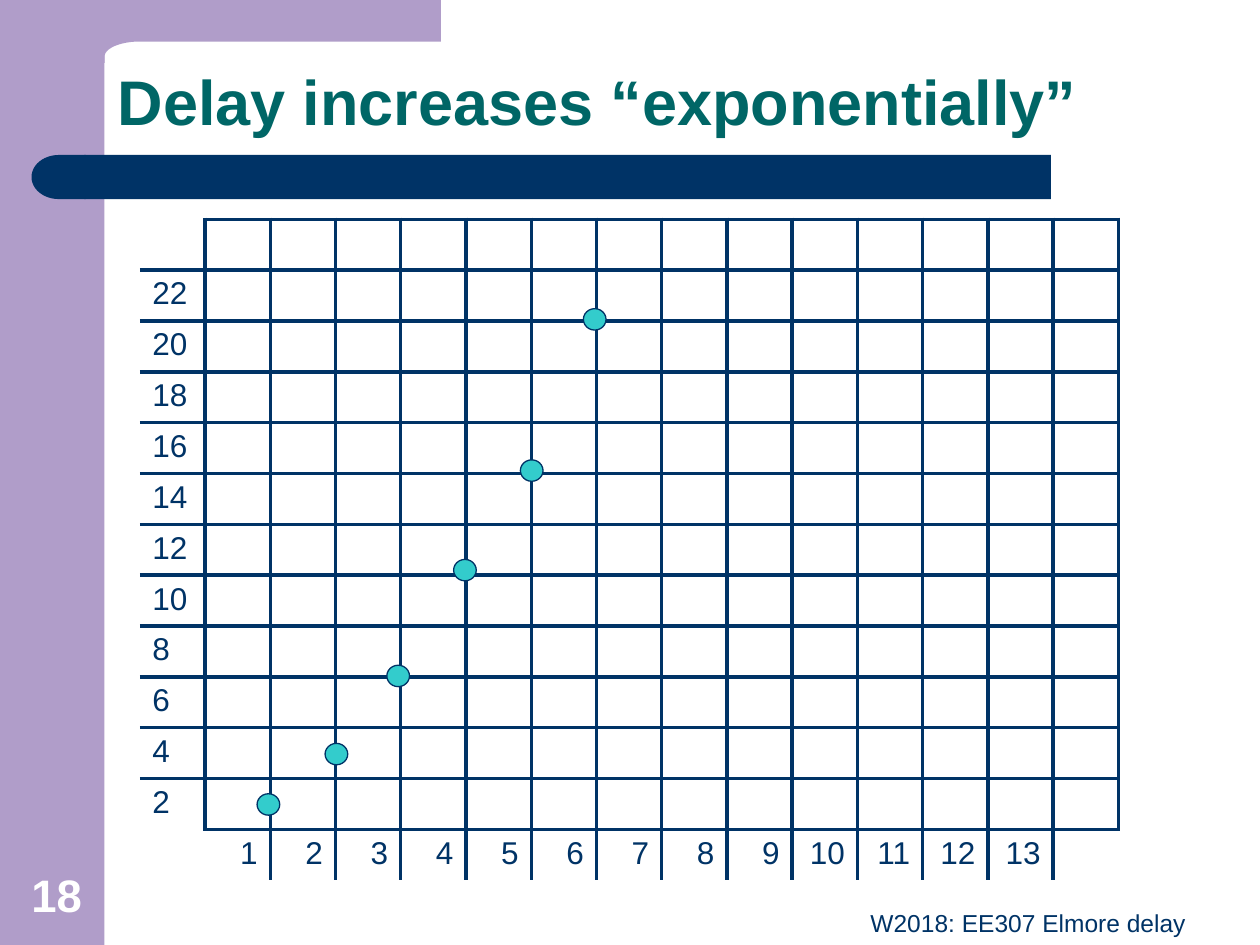
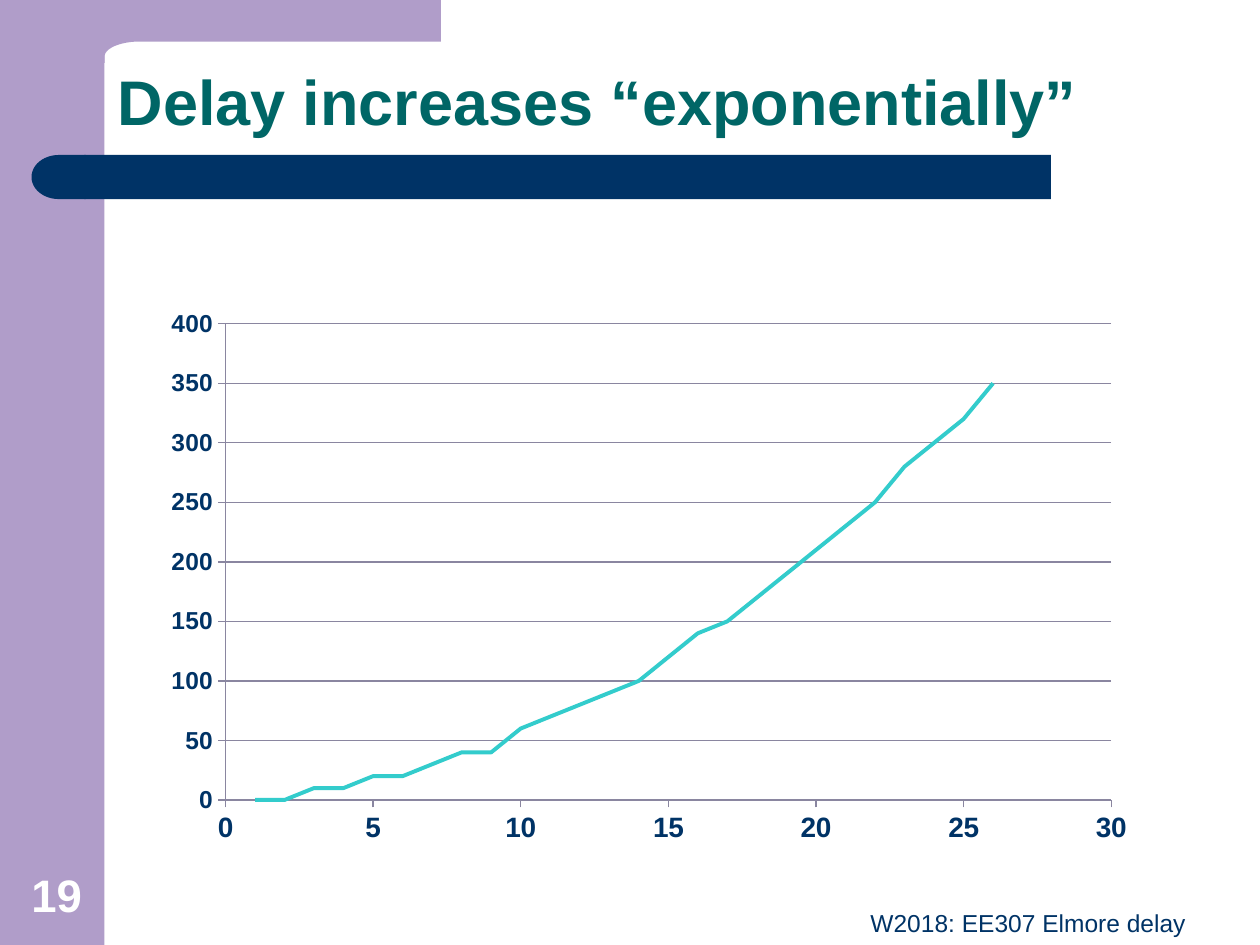
from math import cos, pi, sin

from lxml.etree import SubElement
from pptx import Presentation
from pptx.chart.data import XyChartData
from pptx.dml.color import RGBColor
from pptx.enum.chart import XL_CHART_TYPE, XL_TICK_MARK
from pptx.enum.shapes import MSO_SHAPE
from pptx.enum.text import MSO_ANCHOR, PP_ALIGN
from pptx.oxml import parse_xml
from pptx.oxml.ns import nsdecls, qn
from pptx.util import Inches, Pt

COLORS = {
    "lilac": "B09DC9",
    "navy": "003366",
    "green": "006666",
    "teal": "33CCCC",
    "grey": "8A86A0",
    "white": "FFFFFF",
}
FONT = "Arial"
TITLE = "Delay increases “exponentially”"
FOOTER = "W2018: EE307 Elmore delay"
ROWS, COLS = 13, 15
DOTS = [(2.04, 6.3), (2.58, 5.9), (3.07, 5.28),
        (3.6, 4.44), (4.13, 3.65), (4.63, 2.45)]


def rgb(name):
    return RGBColor.from_string(COLORS[name])


def has_row_line(i, col):
    """Tell whether horizontal grid line i runs along this column."""
    return i < ROWS and (i not in (0, ROWS - 1) or col > 0)


def has_col_line(j, row):
    """Tell whether vertical grid line j runs along this row."""
    return j > 0 and (j not in (1, COLS) or row < ROWS - 1)


class Deck:
    def __init__(self):
        self.prs = Presentation()
        self.prs.slide_width = Inches(10)
        self.prs.slide_height = Inches(7.5)
        self.slide = None

    def start(self, number):
        """Add a slide with the shared bands, title, footer and number."""
        self.slide = self.prs.slides.add_slide(self.prs.slide_layouts[6])
        self.shape(MSO_SHAPE.RECTANGLE, 0, 0, 0.83, 7.5, "lilac")
        self.corner()
        self.shape(MSO_SHAPE.RECTANGLE, 0.67, 1.23, 7.67, 0.35, "navy")
        cap = self.shape(MSO_SHAPE.FLOWCHART_DELAY, 0.25, 1.23, 0.43, 0.35, "navy")
        cap.rotation = 180
        self.title()
        self.text(FOOTER, 3.42, 7.16, 6.09, 0.33, 14, "navy", align=PP_ALIGN.RIGHT)
        self.text(str(number), 0, 6.83, 0.9, 0.53, 26, "white", bold=True,
                  align=PP_ALIGN.CENTER, anchor=MSO_ANCHOR.BOTTOM)

    def title(self):
        box = self.shape(MSO_SHAPE.ROUNDED_RECTANGLE, 0.83, 0.33, 8.67, 0.83)
        box.adjustments[0] = 0.22
        frame = box.text_frame
        frame.margin_left = Inches(0.05)
        frame.margin_bottom = 0
        self.fill(frame, TITLE, 36, "green", True, PP_ALIGN.LEFT, MSO_ANCHOR.BOTTOM)
        frame.paragraphs[0].line_spacing = 0.9

    def paint(self, shape, fill=None, line=None):
        shape.shadow.inherit = False
        if fill:
            shape.fill.solid()
            shape.fill.fore_color.rgb = rgb(fill)
        else:
            shape.fill.background()
        if line:
            shape.line.color.rgb = rgb(line)
            shape.line.width = Pt(0.75)
        else:
            shape.line.fill.background()
        return shape

    def shape(self, kind, x, y, w, h, fill=None, line=None):
        shape = self.slide.shapes.add_shape(
            kind, Inches(x), Inches(y), Inches(w), Inches(h))
        return self.paint(shape, fill, line)

    def corner(self):
        """Draw the top band with its rounded inner corner."""
        steps = 12
        turns = [pi / 2 * k / steps for k in range(steps + 1)]
        curve = [(1.11 - 0.28 * sin(t), 0.45 - 0.12 * cos(t)) for t in turns]
        points = [(3.5, 0.33), *curve, (0.83, 0.5), (0.5, 0.5), (0.5, 0)]
        path = self.slide.shapes.build_freeform(Inches(3.5), 0)
        path.add_line_segments([(Inches(x), Inches(y)) for x, y in points])
        self.paint(path.convert_to_shape(), "lilac")

    def style(self, font, size, color, bold=False):
        font.name = FONT
        font.size = Pt(size)
        font.bold = bold
        font.color.rgb = rgb(color)

    def fill(self, frame, words, size, color, bold, align, anchor):
        """Put one styled paragraph into a text frame."""
        frame.word_wrap = True
        frame.vertical_anchor = anchor
        frame.text = words
        para = frame.paragraphs[0]
        para.alignment = align
        self.style(para.runs[0].font, size, color, bold)

    def text(self, words, x, y, w, h, size, color, bold=False,
             align=PP_ALIGN.LEFT, anchor=MSO_ANCHOR.TOP):
        box = self.slide.shapes.add_textbox(
            Inches(x), Inches(y), Inches(w), Inches(h))
        self.fill(box.text_frame, words, size, color, bold, align, anchor)

    def borders(self, cell, sides):
        """Set the cell's left, right, top and bottom lines on or off."""
        props = cell._tc.get_or_add_tcPr()
        for place, (tag, shown) in enumerate(zip("LRTB", sides)):
            line = SubElement(props, qn(f"a:ln{tag}"), w=str(Pt(2.25)))
            if shown:
                fill = SubElement(line, qn("a:solidFill"))
                SubElement(fill, qn("a:srgbClr"), val=COLORS["navy"])
            else:
                SubElement(line, qn("a:noFill"))
            props.insert(place, line)

    def grid(self, x, y, w, h):
        """Add the plotting grid with its labels in the outer cells."""
        table = self.slide.shapes.add_table(
            ROWS, COLS, Inches(x), Inches(y), Inches(w), Inches(h)).table
        table.first_row = table.horz_banding = False
        for r in range(ROWS):
            for c in range(COLS):
                cell = table.cell(r, c)
                cell.fill.solid()
                cell.fill.fore_color.rgb = rgb("white")
                self.borders(cell, (has_col_line(c, r), has_col_line(c + 1, r),
                                    has_row_line(r, c), has_row_line(r + 1, c)))
                if c == 0 and 0 < r < ROWS - 1:
                    self.label(cell, 2 * (ROWS - 1 - r), PP_ALIGN.LEFT)
                elif r == ROWS - 1 and 0 < c < COLS - 1:
                    self.label(cell, c, PP_ALIGN.RIGHT)

    def label(self, cell, value, align):
        cell.text_frame.text = str(value)
        para = cell.text_frame.paragraphs[0]
        para.alignment = align
        self.style(para.runs[0].font, 18, "navy")

    def axis(self, axis, top, step, size):
        axis.minimum_scale, axis.maximum_scale = 0, top
        axis.major_unit = step
        axis.major_tick_mark = XL_TICK_MARK.OUTSIDE
        axis.minor_tick_mark = XL_TICK_MARK.NONE
        axis.format.line.color.rgb = rgb("grey")
        self.style(axis.tick_labels.font, size, "navy", bold=True)

    def curve(self, points, x, y, w, h):
        """Add a smooth scatter chart of the points."""
        data = XyChartData()
        series = data.add_series("Series 1")
        for point in points:
            series.add_data_point(*point)
        chart = self.slide.shapes.add_chart(
            XL_CHART_TYPE.XY_SCATTER_SMOOTH_NO_MARKERS,
            Inches(x), Inches(y), Inches(w), Inches(h), data).chart
        chart.has_legend = chart.has_title = False
        self.style(chart.font, 10, "navy")
        self.axis(chart.category_axis, 30, 5, 16)
        self.axis(chart.value_axis, 400, 50, 14)
        chart.category_axis.has_major_gridlines = False
        chart.value_axis.major_gridlines.format.line.color.rgb = rgb("grey")
        plot = chart.plots[0]
        plot.vary_by_categories = False
        line = plot.series[0]
        line.smooth = True
        line.format.line.color.rgb = rgb("teal")
        line.format.line.width = Pt(2.25)
        self.place(chart, x=0.58 / w, y=0.2 / h, w=7.03 / w, h=3.78 / h)

    def place(self, chart, **parts):
        """Fix the inner plot area as fractions of the chart."""
        area = chart._chartSpace.chart.plotArea
        for old in area.findall(qn("c:layout")):
            area.remove(old)
        modes = '<c:xMode val="edge"/><c:yMode val="edge"/>'
        sizes = "".join(f'<c:{k} val="{v}"/>' for k, v in parts.items())
        area.insert(0, parse_xml(
            f'<c:layout {nsdecls("c")}><c:manualLayout>'
            f'<c:layoutTarget val="inner"/>{modes}{sizes}'
            "</c:manualLayout></c:layout>"))


def main():
    deck = Deck()
    deck.start(18)
    deck.grid(1.11, 1.74, 7.77, 5.25)
    for x, y in DOTS:
        deck.shape(MSO_SHAPE.OVAL, x, y, 0.18, 0.17, "teal", "navy")

    deck.start(19)
    delays = [(n, round(n * (n + 1) // 2, -1)) for n in range(1, 27)]
    deck.curve(delays, 1.21, 2.37, 7.9, 4.4)
    deck.prs.save("out.pptx")


if __name__ == "__main__":
    main()
